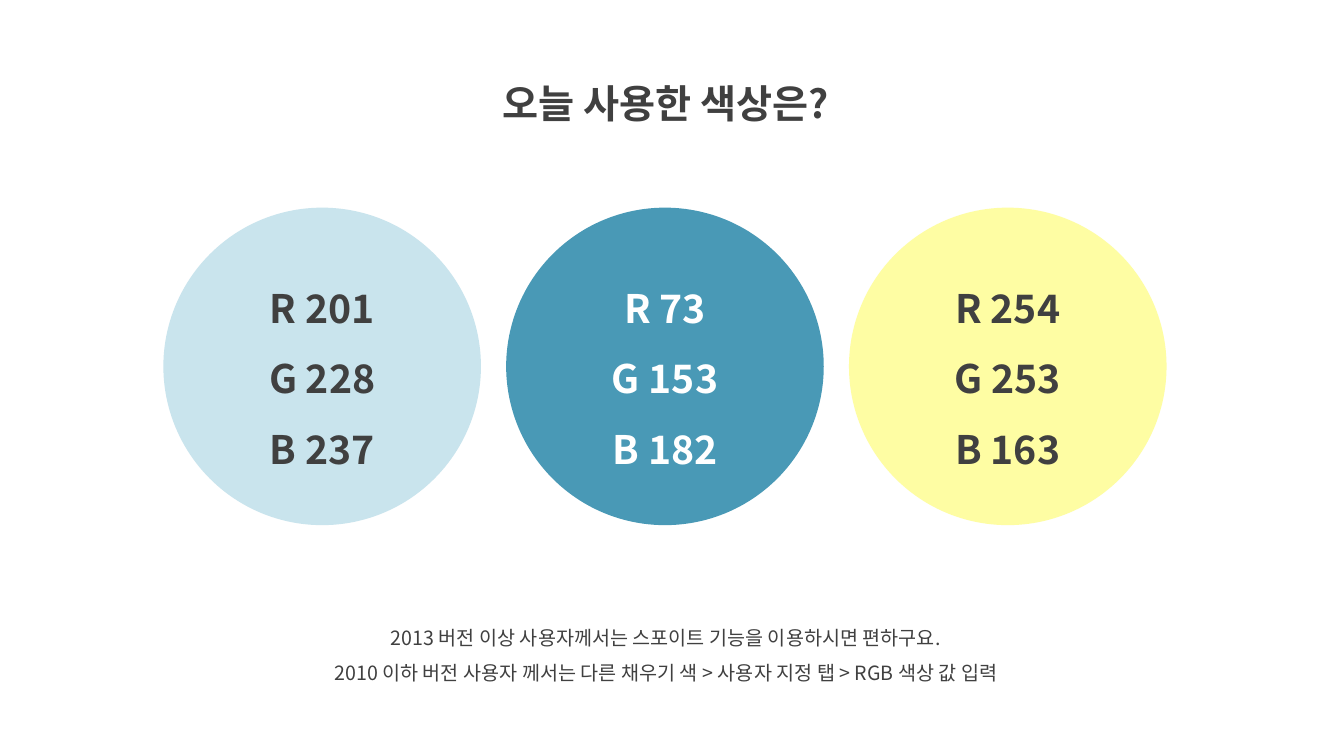
from dataclasses import dataclass

import lxml.etree
import pptx
import pptx.dml.color
import pptx.enum.shapes
import pptx.enum.text
import pptx.oxml.ns
import pptx.util

EMU_PER_PX = 9144  # 100 px to the inch
RGB = pptx.dml.color.RGBColor


@dataclass(frozen=True)
class Theme:
    font: str = "Noto Sans CJK KR"
    dark: RGB = RGB(0x40, 0x40, 0x40)
    white: RGB = RGB(0xFF, 0xFF, 0xFF)
    large: int = 28
    small: int = 14
    spacing: float = 1.5


THEME = Theme()

# Each swatch: its colour, which is also its wording, and its text colour
SWATCHES = [
    ((201, 228, 237), THEME.dark),
    ((73, 153, 182), THEME.white),
    ((254, 253, 163), THEME.dark),
]
SWATCH_LEFT, SWATCH_TOP, SWATCH_SIZE, SWATCH_PITCH = 162, 206, 315, 340


def px(*lengths):
    return [pptx.util.Emu(n * EMU_PER_PX) for n in lengths]


def write(tf, lines, *, size, color=THEME.dark, bold=False):
    """Fill a text frame with centred lines in one format."""
    tf.word_wrap = True
    for i, line in enumerate(lines):
        p = tf.paragraphs[0] if i == 0 else tf.add_paragraph()
        p.alignment = pptx.enum.text.PP_ALIGN.CENTER
        p.line_spacing = THEME.spacing
        r = p.add_run()
        r.text = line
        r.font.size = pptx.util.Pt(size)
        r.font.bold = bold
        r.font.color.rgb = color
        r.font.name = THEME.font
        # Korean letters take the East Asian font
        ea = lxml.etree.SubElement(r.font._element, pptx.oxml.ns.qn("a:ea"))
        ea.set("typeface", THEME.font)


def add_text(s, box, lines, **style):
    tf = s.shapes.add_textbox(*px(*box)).text_frame
    write(tf, lines, **style)
    tf.auto_size = pptx.enum.text.MSO_AUTO_SIZE.SHAPE_TO_FIT_TEXT


def add_swatch(s, left, rgb, color):
    sp = s.shapes.add_shape(
        pptx.enum.shapes.MSO_SHAPE.OVAL,
        *px(left, SWATCH_TOP, SWATCH_SIZE, SWATCH_SIZE))
    sp.shadow.inherit = False
    sp.fill.solid()
    sp.fill.fore_color.rgb = RGB(*rgb)
    sp.line.fill.background()
    tf = sp.text_frame
    tf.vertical_anchor = pptx.enum.text.MSO_ANCHOR.MIDDLE
    lines = [f"{channel} {value}" for channel, value in zip("RGB", rgb)]
    write(tf, lines, size=THEME.large, color=color, bold=True)


def main():
    prs = pptx.Presentation()
    prs.slide_width, prs.slide_height = px(1333, 750)
    s = prs.slides.add_slide(prs.slide_layouts[6])

    # Title
    add_text(s, (429, 50, 463, 72), ["오늘 사용한 색상은?"],
             size=THEME.large, bold=True)

    # Colour swatches
    for i, (rgb, color) in enumerate(SWATCHES):
        add_swatch(s, SWATCH_LEFT + i * SWATCH_PITCH, rgb, color)

    # Instructions
    add_text(s, (261, 604, 799, 81), [
        "2013 버전 이상 사용자께서는 스포이트 기능을 이용하시면 편하구요.",
        "2010 이하 버전 사용자 께서는 다른 채우기 색 > 사용자 지정 탭 > RGB 색상 값 입력",
    ], size=THEME.small)

    prs.save("out.pptx")


if __name__ == "__main__":
    main()
